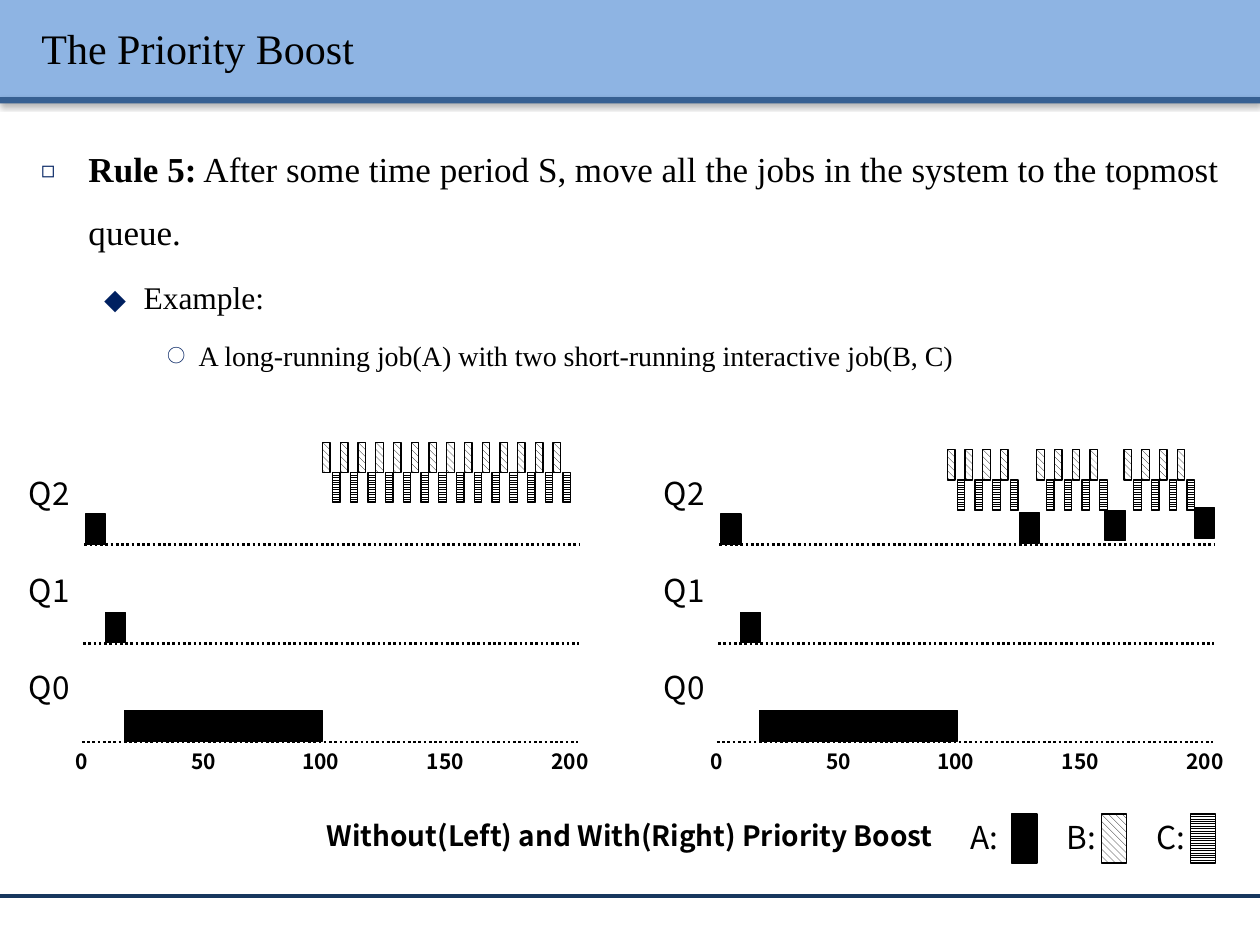
from lxml import etree
from pptx import Presentation
from pptx.dml.color import RGBColor
from pptx.enum.dml import MSO_LINE as Dash, MSO_PATTERN as Pat
from pptx.enum.shapes import MSO_CONNECTOR as Conn, MSO_SHAPE as Kind
from pptx.enum.text import MSO_ANCHOR as Anchor, PP_ALIGN as Align
from pptx.oxml.ns import qn
from pptx.util import Pt

SERIF, SANS = "Times New Roman", "Noto Sans CJK KR"
BLACK, WHITE, NAVY = "000000", "FFFFFF", "002060"
HATCH = {"A": None, "B": Pat.WIDE_DOWNWARD_DIAGONAL, "C": Pat.LIGHT_HORIZONTAL}
BAR_H = 17.28


def color(code):
    return RGBColor.from_string(code)


def sub(node, tag, **attrs):
    return etree.SubElement(node, qn(tag), attrs)


def write(para, text, size=18, bold=False, font=SANS, ink=BLACK):
    run = para.add_run()
    run.text = text
    run.font.size, run.font.bold, run.font.name = Pt(size), bold, font
    run.font.color.rgb = color(ink)
    return run


def label(shapes, text, x, y, w, h, align=Align.CENTER, **style):
    frame = shapes.add_textbox(Pt(x), Pt(y), Pt(w), Pt(h)).text_frame
    frame.word_wrap = True
    para = frame.paragraphs[0]
    para.alignment = align
    write(para, text, **style)


def shade(node):
    """Add a soft shadow below a shape or a run."""
    drop = sub(sub(node, "a:effectLst"), "a:outerShdw", blurRad="40000",
               dist="20000", dir="5400000", rotWithShape="0")
    sub(sub(drop, "a:srgbClr", val=BLACK), "a:alpha", val="38000")


def rule(shapes, x, y, w, ink, weight, dash=None):
    line = shapes.add_connector(Conn.STRAIGHT, Pt(x), Pt(y), Pt(x + w), Pt(y))
    line.line.color.rgb = color(ink)
    line.line.width = Pt(weight)
    if dash:
        line.line.dash_style = dash
    sub(line._element.spPr, "a:effectLst")


def band(shapes, x, y, w, h, fill):
    shape = shapes.add_shape(Kind.RECTANGLE, Pt(x), Pt(y), Pt(w), Pt(h))
    shape.fill.solid()
    shape.fill.fore_color.rgb = color(fill)
    shape.line.fill.background()
    shade(shape._element.spPr)


def bar(shapes, job, x, y, w, h=BAR_H):
    shape = shapes.add_shape(Kind.RECTANGLE, Pt(x), Pt(y), Pt(w), Pt(h))
    shape.shadow.inherit = False
    if HATCH[job]:
        shape.fill.patterned()
        shape.fill.pattern = HATCH[job]
        shape.fill.back_color.rgb = color(WHITE)
    else:
        shape.fill.solid()
    shape.fill.fore_color.rgb = color(BLACK)
    shape.line.color.rgb = color(BLACK)
    shape.line.width = Pt(0.75)


def header(slide, x, y, w):
    shapes = slide.shapes
    band(shapes, x, y, w, 55.5, "8EB4E3")
    band(shapes, x, y + 55.5, w, 3.6, "376092")
    title = shapes.title
    shapes._spTree.append(title._element)  # bring in front of the bands
    title.left, title.top = Pt(x + 16.5), Pt(y + 4.3)
    title.width, title.height = Pt(692), Pt(46)
    frame = title.text_frame
    frame.vertical_anchor = Anchor.MIDDLE
    para = frame.paragraphs[0]
    para.alignment = Align.LEFT
    run = write(para, "The Priority Boost", size=24, font=SERIF)
    props = run.font._element
    shade(props)
    props.insert(1, props[-1])  # effects come right after the fill


def body(shapes, x, y, w, h):
    frame = shapes.add_textbox(Pt(x), Pt(y), Pt(w), Pt(h)).text_frame
    frame.word_wrap = True
    rows = [  # size, left margin, hang, bullet, bullet percent, runs
        (20, 27, 27, "◻", 65, [
            ("Rule 5:", True),
            (" After some time period S, move all the jobs in the system"
             " to the topmost queue.", False)]),
        (18, 58.5, 22.5, "⬥", 100, [("Example:", False)]),
        (16, 90, 18, "○", 65, [
            ("A long-running job(A) with two short-running interactive"
             " job(B, C)", False)]),
    ]
    for i, (size, left, hang, mark, scale, runs) in enumerate(rows):
        para = frame.add_paragraph() if i else frame.paragraphs[0]
        para.level = i
        para.line_spacing = 1.5
        para.space_before = Pt(size * 0.2)
        for text, bold in runs:
            write(para, text, size=size, bold=bold, font=SERIF)
        props = para._p.get_or_add_pPr()
        props.set("marL", str(Pt(left)))
        props.set("indent", str(-Pt(hang)))
        sub(sub(props, "a:buClr"), "a:srgbClr", val=NAVY)
        sub(props, "a:buSzPct", val=str(scale * 1000))
        sub(props, "a:buFont", typeface=SANS)
        sub(props, "a:buChar", char=mark)


def chart(slide, x, y, top, bursts, boosts=()):
    """Draw a timeline; bursts holds (start, count) of the B and C runs."""
    shapes = slide.shapes.add_group_shape().shapes
    # Queues, each with the share of job A that runs there
    for i, (name, w) in enumerate([("Q2", 11.5), ("Q1", 11.5), ("Q0", 113)]):
        rule(shapes, x + 48.2 - 0.7 * i, y + 59.1 + 56.5 * i, 283.4,
             BLACK, 1.5, Dash.ROUND_DOT)
        label(shapes, name, x - 2.9, y + 15.6 + 55.4 * i, 49.7, 29,
              align=Align.RIGHT)
        bar(shapes, "A", x + 49 + 11.15 * i, y + 41.8 + 56.2 * i, w)
    # Time axis
    for i, mid in enumerate([46.8, 116.3, 183.2, 254.5, 325.8]):
        label(shapes, str(50 * i), x + mid - 22, y + 172.3, 44, 21.6,
              size=12, bold=True)
    # Interactive jobs taking turns
    for start, count in bursts:
        for i in range(count):
            left = x + start + 10.13 * i
            bar(shapes, "B", left, y + top, 4.3)
            bar(shapes, "C", left + 5.6, y + top + BAR_H, 4.3)
    # Job A back in the top queue
    for i, left in enumerate(boosts):
        bar(shapes, "A", x + left, y + 41 - 1.4 * i, 11.5)


def legend(slide, x, y):
    shapes = slide.shapes.add_group_shape().shapes
    names = [("A: ", -13.5), ("B:", -11.3), ("C:", -11.3)]
    for i, (text, shift) in enumerate(names):
        left = x + 51.1 * i
        bar(shapes, text[0], left, y + 1.4, 14.4, 28.1)
        label(shapes, text, left + shift - 20.5, y, 41, 29)


def main():
    deck = Presentation()
    deck.slide_width, deck.slide_height = Pt(720), Pt(540)
    slide = deck.slides.add_slide(deck.slide_layouts[5])
    shapes = slide.shapes
    header(slide, 0, 0, 720)
    rule(shapes, 0, 512, 720, "17375E", 2)
    body(shapes, 16.5, 69, 692, 150)
    chart(slide, 0, 252, 0.8, [(184.4, 14)])
    chart(slide, 362.9, 252, 5, [(178.5, 4), (229.6, 4), (279.4, 4)],
          boosts=(219.5, 268.6, 319.6))
    label(shapes, "Without(Left) and With(Right) Priority Boost",
          139, 464.4, 442, 26.6, size=16, bold=True)
    legend(slide, 578.2, 463.7)
    deck.save("out.pptx")


if __name__ == "__main__":
    main()
